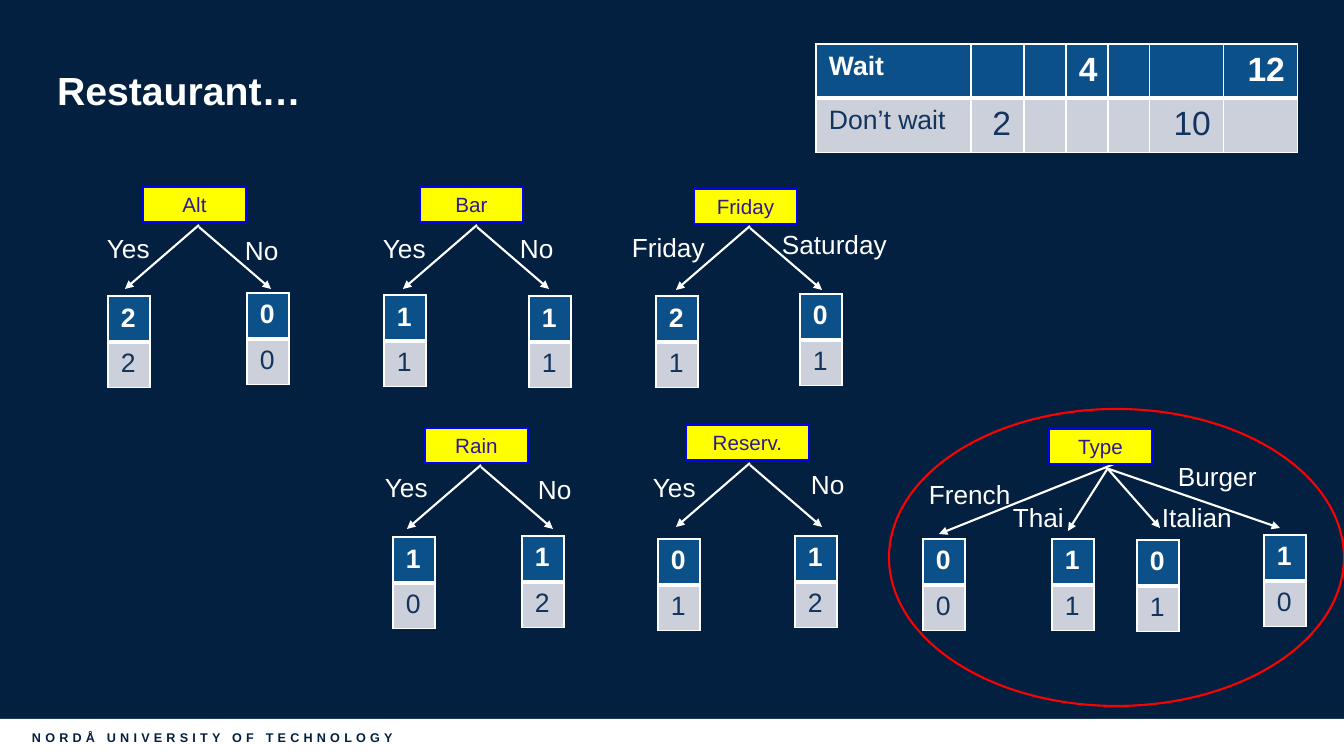
import collections

import lxml.etree
import pptx
import pptx.dml.color
import pptx.enum.shapes
import pptx.enum.text
import pptx.oxml.ns
import pptx.util

EMU_PER_PIXEL = 914400 / 100.8
SLIDE_SIZE = (1344, 756)

COLORS = {
    "navy": "032040",
    "white": "FFFFFF",
    "yellow": "FFFF00",
    "blue": "0000FF",
    "indigo": "2D1993",
    "red": "FF0000",
    "wait": "0C5089",
    "no_wait": "CCD0DA",
    "ink": "13345E",
}

# Text styles: colour name and font attributes
STYLES = {
    "title": ("white", {"size": pptx.util.Pt(28), "bold": True}),
    "footer": ("navy", {"size": pptx.util.Pt(9), "bold": True}),
    "attribute": ("indigo", {"size": pptx.util.Pt(14.7)}),
    "label": ("white", {"size": pptx.util.Pt(18.7)}),
    "wait": ("white", {"size": pptx.util.Pt(19), "bold": True}),
    "no_wait": ("ink", {"size": pptx.util.Pt(19), "bold": False}),
    "wait_large": ("white", {"size": pptx.util.Pt(24), "bold": True}),
    "no_wait_large": ("ink", {"size": pptx.util.Pt(24), "bold": False}),
}

LEFT = pptx.enum.text.PP_ALIGN.LEFT
CENTER = pptx.enum.text.PP_ALIGN.CENTER
RIGHT = pptx.enum.text.PP_ALIGN.RIGHT
MIDDLE = pptx.enum.text.MSO_ANCHOR.MIDDLE
RECTANGLE = pptx.enum.shapes.MSO_SHAPE.RECTANGLE
OVAL = pptx.enum.shapes.MSO_SHAPE.OVAL

LABEL_HEIGHT = 42
LABEL_WIDTHS = {"Yes": 64, "No": 54, "Friday": 94, "Saturday": 126,
                "French": 103, "Thai": 72, "Italian": 91, "Burger": 100}
COUNT_COLUMNS, COUNT_ROW = [42], 45
SUMMARY_COLUMNS, SUMMARY_ROW = [155, 53, 42, 42, 42, 74, 74], 54

Branch = collections.namedtuple("Branch", "label label_at start tip table_at counts")


def px(*values):
    lengths = [pptx.util.Emu(round(value * EMU_PER_PIXEL)) for value in values]
    return lengths[0] if len(lengths) == 1 else lengths


def rgb(name):
    return pptx.dml.color.RGBColor.from_string(COLORS[name])


def set_attributes(target, values):
    for name, value in values.items():
        setattr(target, name, value)


def add_element(parent, tag, **attributes):
    return lxml.etree.SubElement(parent, pptx.oxml.ns.qn(tag), **attributes)


def write_text(frame, text, style, alignment=LEFT):
    color, font_values = STYLES[style]
    paragraph = frame.paragraphs[0]
    paragraph.alignment = alignment
    run = paragraph.add_run()
    run.text = text
    set_attributes(run.font, {"name": "Arial", **font_values})
    run.font.color.rgb = rgb(color)
    return run


def add_preset(slide, kind, box, fill=None, line=None, line_width=1):
    shape = slide.shapes.add_shape(kind, *px(*box))
    shape.shadow.inherit = False
    for format_part, color in ((shape.fill, fill), (shape.line.fill, line)):
        if color:
            format_part.solid()
            format_part.fore_color.rgb = rgb(color)
        else:
            format_part.background()
    if line:
        shape.line.width = pptx.util.Pt(line_width)
    return shape


def add_title(slide, text):
    title = slide.shapes.title
    left, top, width, height = px(47, 26, 1249, 133)
    set_attributes(title, {"left": left, "top": top, "width": width, "height": height})
    title.text_frame.vertical_anchor = MIDDLE
    write_text(title.text_frame, text, "title")
    title.text_frame.paragraphs[0].line_spacing = 0.9


def add_footer(slide, text):
    bar = add_preset(slide, RECTANGLE, (0, 719, SLIDE_SIZE[0], 37), fill="white")
    set_attributes(bar.text_frame, {"vertical_anchor": MIDDLE, "margin_left": px(32)})
    run = write_text(bar.text_frame, text, "footer")
    run.font._element.set("spc", "300")


def add_arrow(slide, start, tip):
    arrow = slide.shapes.add_connector(
        pptx.enum.shapes.MSO_CONNECTOR.STRAIGHT, *px(*start, *tip))
    arrow.line.color.rgb = rgb("white")
    arrow.line.width = pptx.util.Pt(1.5)
    add_element(arrow.line._get_or_add_ln(), "a:tailEnd", type="triangle")
    add_element(arrow._element.spPr, "a:effectLst")


def add_label(slide, text, position):
    box = slide.shapes.add_textbox(*px(*position, LABEL_WIDTHS[text], LABEL_HEIGHT))
    box.text_frame.word_wrap = False
    write_text(box.text_frame, text, "label")


def add_attribute(slide, name, box):
    shape = add_preset(slide, RECTANGLE, box, fill="yellow", line="blue")
    shape.text_frame.vertical_anchor = MIDDLE
    write_text(shape.text_frame, name, "attribute", CENTER)


def format_cell(cell, row_style):
    left, top = px(13, 7)
    set_attributes(cell, {"margin_left": left, "margin_right": left,
                          "margin_top": top, "margin_bottom": top})
    properties = cell._tc.get_or_add_tcPr()
    divider = "a:lnB" if row_style == "wait" else "a:lnT"
    for side in ("a:lnL", "a:lnR", "a:lnT", "a:lnB"):
        width = pptx.util.Pt(3 if side == divider else 1)
        border = add_element(properties, side, w=str(width))
        add_element(add_element(border, "a:solidFill"), "a:srgbClr", val=COLORS["white"])
    cell.fill.solid()
    cell.fill.fore_color.rgb = rgb(row_style)


def add_wait_table(slide, position, columns, row_height, rows):
    """Two rows, wait above no_wait; numbers in a wide table are large and right-aligned."""
    size = (sum(columns), 2 * row_height)
    table = slide.shapes.add_table(2, len(columns), *px(*position, *size)).table
    table.horz_banding = False
    for column, width in zip(table.columns, columns):
        column.width = px(width)
    for row, row_style, texts in zip(table.rows, ("wait", "no_wait"), rows):
        row.height = px(row_height)
        for index, (cell, text) in enumerate(zip(row.cells, texts)):
            format_cell(cell, row_style)
            if text and index:
                write_text(cell.text_frame, text, row_style + "_large", RIGHT)
            elif text:
                write_text(cell.text_frame, text, row_style)


def split_in_two(apex, labels, labels_at, tables_at, counts):
    """Two branches that leave the apex to the left and to the right."""
    x, y = apex
    starts = [(x, y), (x, y + 2)]
    tips = [(x - 74, y + 64), (x + 72, y + 64)]
    return [Branch(*values)
            for values in zip(labels, labels_at, starts, tips, tables_at, counts)]


def add_tree(slide, name, box, branches):
    for branch in branches:
        add_arrow(slide, branch.start, branch.tip)
    add_attribute(slide, name, box)
    for branch in branches:
        add_label(slide, branch.label, branch.label_at)
        add_wait_table(slide, branch.table_at, COUNT_COLUMNS, COUNT_ROW, branch.counts)


YES_NO = ("Yes", "No")

# Attribute name, its box, and its branches; counts are wait, then don't wait
TREES = [
    ("Alt", (143, 187, 103, 35), split_in_two(
        (199, 225), YES_NO, [(97, 227), (235, 229)], [(108, 296), (247, 293)], ["22", "00"])),
    ("Bar", (420, 187, 103, 35), split_in_two(
        (477, 225), YES_NO, [(373, 227), (510, 227)], [(384, 295), (529, 296)], ["11", "11"])),
    ("Friday", (694, 189, 103, 35), split_in_two(
        (750, 226), ("Friday", "Saturday"), [(622, 226), (772, 223)],
        [(656, 296), (800, 294)], ["21", "01"])),
    ("Rain", (425, 428, 103, 35), split_in_two(
        (481, 465), YES_NO, [(375, 466), (528, 468)], [(393, 537), (522, 536)], ["10", "12"])),
    ("Reserv.", (686, 425, 123, 35), split_in_two(
        (750, 463), YES_NO, [(643, 466), (801, 463)], [(658, 539), (795, 536)], ["01", "12"])),
    ("Type", (1049, 429, 103, 35), [
        Branch("French", (919, 473), (1114, 464), (939, 534), (923, 539), "00"),
        Branch("Thai", (1003, 496), (1108, 468), (1068, 531), (1052, 539), "11"),
        Branch("Italian", (1152, 496), (1108, 469), (1160, 528), (1137, 540), "01"),
        Branch("Burger", (1168, 455), (1106, 468), (1280, 528), (1264, 535), "10"),
    ]),
]

SUMMARY = [
    ["Wait", "", "", "4", "", "", "12"],
    ["Don’t wait", "2", "", "", "", "10", ""],
]


def main():
    presentation = pptx.Presentation()
    presentation.slide_width, presentation.slide_height = px(*SLIDE_SIZE)
    slide = presentation.slides.add_slide(presentation.slide_layouts[5])
    slide.background.fill.solid()
    slide.background.fill.fore_color.rgb = rgb("navy")

    # Frame of the slide
    add_footer(slide, "NORDÅ UNIVERSITY OF TECHNOLOGY")
    add_title(slide, "Restaurant…")

    # One decision tree for each attribute
    for name, box, branches in TREES:
        add_tree(slide, name, box, branches)

    # Ring around the best attribute, and the overall table
    add_preset(slide, OVAL, (889, 409, 455, 297), line="red", line_width=1.5)
    add_wait_table(slide, (816, 44), SUMMARY_COLUMNS, SUMMARY_ROW, SUMMARY)

    presentation.save("out.pptx")


main()
